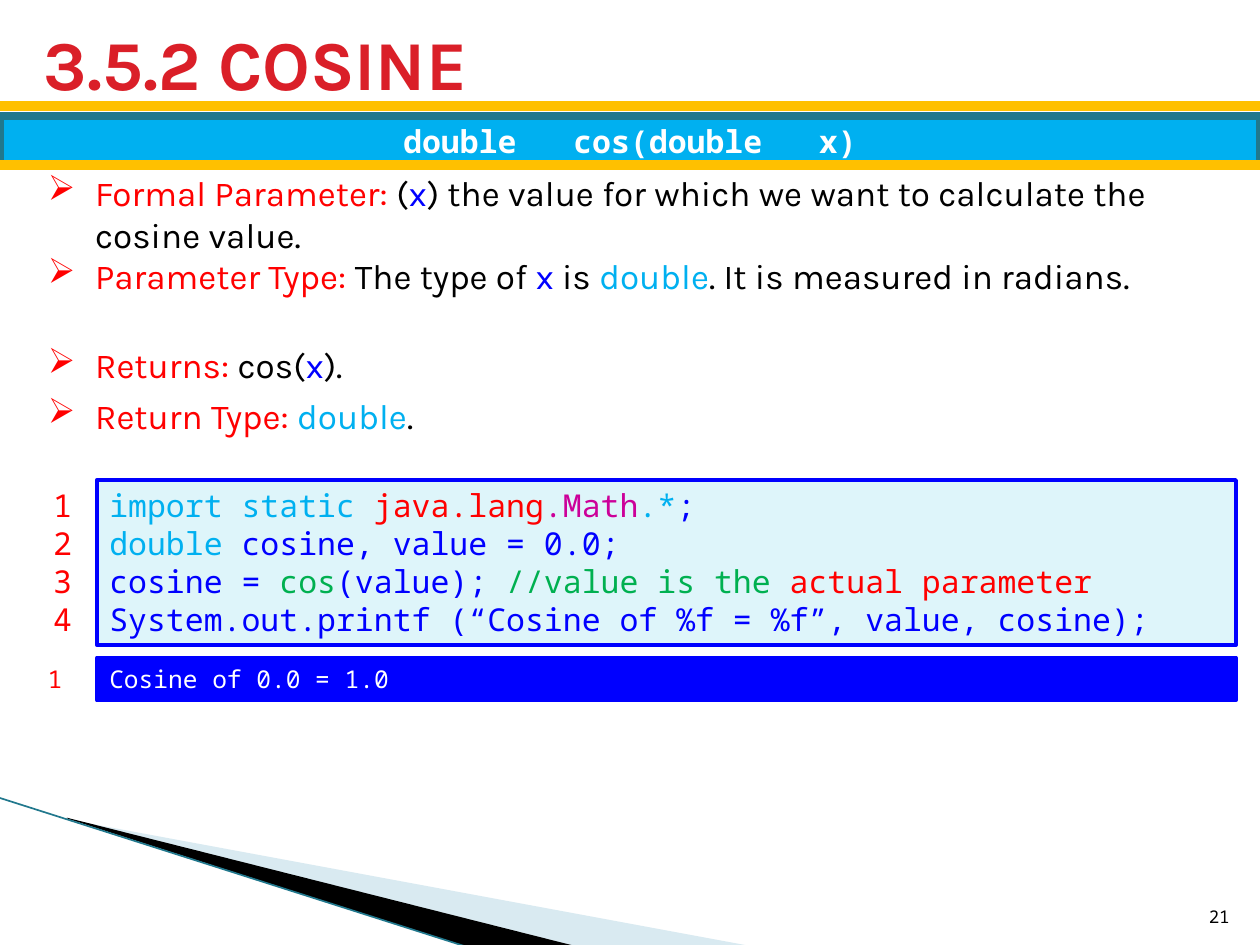
from lxml.etree import SubElement
from pptx import Presentation
from pptx.dml.color import RGBColor
from pptx.enum.shapes import MSO_CONNECTOR, MSO_SHAPE
from pptx.enum.text import MSO_ANCHOR, PP_ALIGN
from pptx.oxml.ns import qn
from pptx.util import Pt

THEME = {
    "heading": "DA1F28", "red": "FF0000", "black": "000000", "blue": "0000FF",
    "cyan": "00B0F0", "green": "00B050", "magenta": "CC0099", "white": "FFFFFF",
    "gold": "FFC000", "teal": "21788D", "mist": "A0CBDC", "code": "DEF5FA",
    "sans": "Karla", "mono": "Noto Sans Mono",
    "title": 40, "body": 20, "listing": 18, "output": 14, "number": 10,
}

TITLE = "3.5.2 COSINE"
SIGNATURE = "double   cos(double   x)"
PAGE_NUMBER = "21"
BULLETS = [
    (94.3, 55.4, [("Formal Parameter:", "red"), (" (", "black"), ("x", "blue"),
                  (") the value for which we want to calculate the cosine value.", "black")]),
    (141.8, 31.7, [("Parameter Type:", "red"), (" The type of ", "black"), ("x", "blue"),
                   (" is ", "black"), ("double", "cyan"),
                   (". It is measured in radians.", "black")]),
    (193, 31.7, [("Returns:", "red"), (" cos(", "black"), ("x", "blue"), (").", "black")]),
    (221.8, 31.7, [("Return Type: ", "red"), ("double", "cyan"), (".", "black")]),
]
CODE = [
    [("import static ", "cyan"), ("java.lang", "red"), (".Math", "magenta"),
     (".*", "cyan"), (";", "blue")],
    [("double", "cyan"), (" cosine, value = 0.0;", "blue")],
    [("cosine = ", "blue"), ("cos", "green"), ("(value); ", "blue"),
     ("//value is the ", "green"), ("actual parameter", "red")],
    [("System.out.printf (“Cosine of %f = %f”, value, cosine);", "blue")],
]
OUTPUT = [[("Cosine of 0.0 = 1.0", "white")]]

WEDGES = [
    ("mist", 40, [(39.6, 468.5), (428.4, 540.5), (328.3, 540.5), (39.6, 468)]),
    ("black", 100, [(38.2, 467.3), (329, 540.7), (267.8, 541.4), (38.9, 468)]),
]
GOLD_LINES = [60.5, 94.3]
PANEL_LEFT, PANEL_WIDTH = 55.4, 650.9
CODE_TOP, CODE_HEIGHT = 274.3, 94.3
OUTPUT_TOP, OUTPUT_HEIGHT = 375.8, 24.5


def color(name):
    return RGBColor.from_string(THEME[name])


def write(shape, paragraphs, size, font="mono", bold=False, align=PP_ALIGN.LEFT,
          anchor=MSO_ANCHOR.TOP, bullet=None):
    frame = shape.text_frame
    frame.word_wrap = True
    frame.vertical_anchor = anchor
    for index, runs in enumerate(paragraphs):
        paragraph = frame.add_paragraph() if index else frame.paragraphs[0]
        paragraph.alignment = align
        if bullet:
            properties = paragraph._p.get_or_add_pPr()
            properties.set("marL", str(Pt(27)))
            properties.set("indent", str(Pt(-27)))
            tint = SubElement(properties, qn("a:buClr"))
            SubElement(tint, qn("a:srgbClr"), val=THEME["red"])
            SubElement(properties, qn("a:buChar"), char=bullet)
        for text, name in runs:
            run = paragraph.add_run()
            run.text = text
            run.font.size = Pt(THEME[size])
            run.font.name = THEME[font]
            run.font.bold = bold
            run.font.color.rgb = color(name)


def add_text(slide, box, paragraphs, size, **style):
    shape = slide.shapes.add_textbox(*map(Pt, box))
    write(shape, paragraphs, size, **style)


def add_panel(slide, box, fill, line, width, paragraphs, size, **style):
    shape = slide.shapes.add_shape(MSO_SHAPE.RECTANGLE, *map(Pt, box))
    shape.shadow.inherit = False
    shape.fill.solid()
    shape.fill.fore_color.rgb = color(fill)
    shape.line.color.rgb = color(line)
    shape.line.width = Pt(width)
    write(shape, paragraphs, size, **style)


def add_line(slide, ends, name, width):
    line = slide.shapes.add_connector(MSO_CONNECTOR.STRAIGHT, *map(Pt, ends))
    line.line.color.rgb = color(name)
    line.line.width = Pt(width)
    SubElement(line._element.spPr, qn("a:effectLst"))


def add_wedge(slide, name, opacity, points):
    corners = [(Pt(x), Pt(y)) for x, y in points]
    builder = slide.shapes.build_freeform(*corners[0])
    builder.add_line_segments(corners[1:], close=True)
    shape = builder.convert_to_shape()
    shape.shadow.inherit = False
    shape.fill.solid()
    shape.fill.fore_color.rgb = color(name)
    shape.line.fill.background()
    if opacity < 100:
        tint = shape._element.spPr.find(qn("a:solidFill"))[0]
        SubElement(tint, qn("a:alpha"), val=str(opacity * 1000))


def numbers(lines):
    return [[(str(number), "red")] for number in range(1, len(lines) + 1)]


def main():
    presentation = Presentation()
    presentation.slide_width, presentation.slide_height = Pt(720), Pt(540)
    slide = presentation.slides.add_slide(presentation.slide_layouts[6])

    for wedge in WEDGES:
        add_wedge(slide, *wedge)
    add_line(slide, (-0.7, 455.8, 267.8, 541.4), "teal", 0.95)

    add_text(slide, (18, 12.2, 682, 46.8), [[(TITLE, "heading")]], "title",
             font="sans", bold=True, anchor=MSO_ANCHOR.MIDDLE)
    add_panel(slide, (0, 66.2, 720, 28.1), "cyan", "teal", 4.33,
              [[(SIGNATURE, "white")]], "listing", bold=True,
              align=PP_ALIGN.CENTER, anchor=MSO_ANCHOR.MIDDLE)
    for y in GOLD_LINES:
        add_line(slide, (0, y, 720, y), "gold", 6)

    for top, height, runs in BULLETS:
        add_text(slide, (20.2, top, 680.4, height), [runs], "body",
                 font="sans", bullet="➢")

    add_panel(slide, (PANEL_LEFT, CODE_TOP, PANEL_WIDTH, CODE_HEIGHT),
              "code", "blue", 2.25, CODE, "listing")
    add_text(slide, (14.4, CODE_TOP, 33.8, CODE_HEIGHT), numbers(CODE), "listing",
             align=PP_ALIGN.RIGHT)
    add_panel(slide, (PANEL_LEFT, OUTPUT_TOP, PANEL_WIDTH, OUTPUT_HEIGHT),
              "blue", "blue", 2.25, OUTPUT, "output")
    add_text(slide, (20.2, OUTPUT_TOP, 19.4, OUTPUT_HEIGHT), numbers(OUTPUT), "output")

    add_text(slide, (681, 504.7, 28.8, 28.8), [[(PAGE_NUMBER, "black")]], "number",
             align=PP_ALIGN.RIGHT, anchor=MSO_ANCHOR.BOTTOM)
    presentation.save("out.pptx")


if __name__ == "__main__":
    main()
